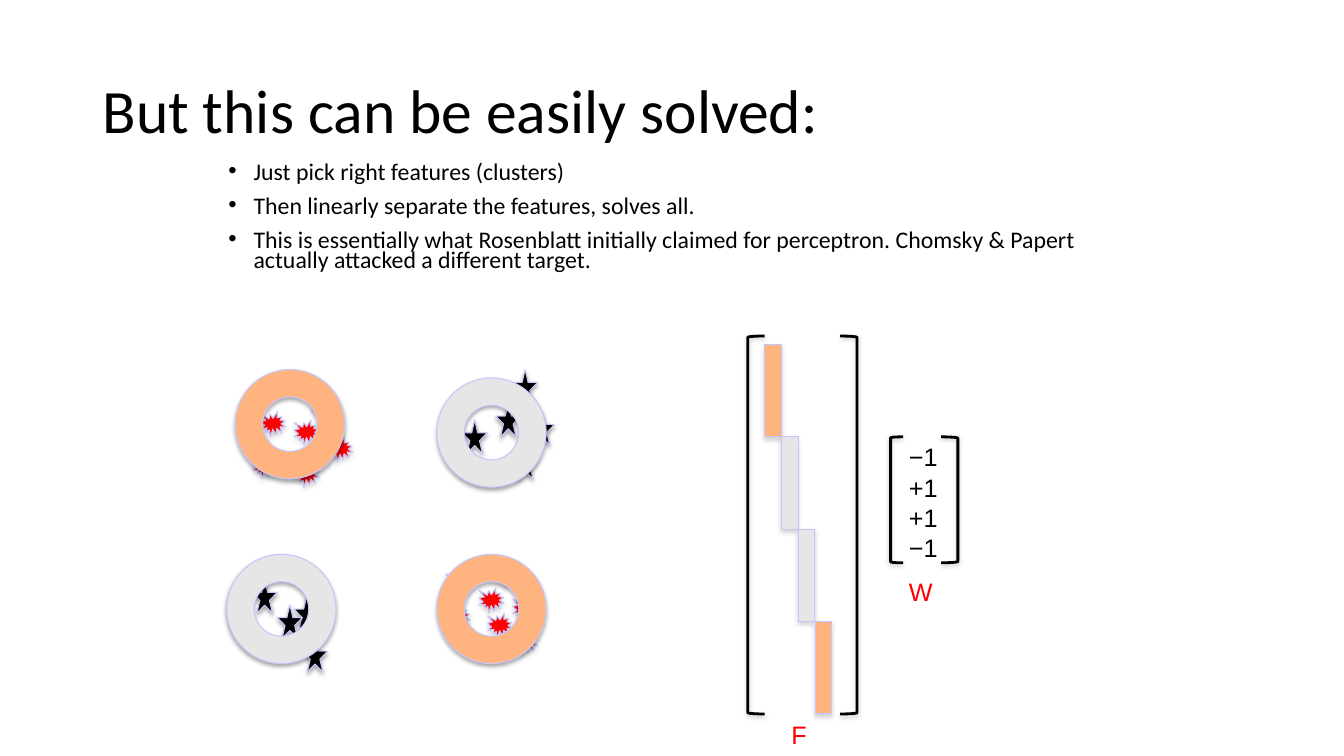
import dataclasses
import lxml.etree
import pptx
import pptx.dml.color
import pptx.enum.shapes
import pptx.enum.text
import pptx.oxml.ns
import pptx.util

Inches = pptx.util.Inches
Pt = pptx.util.Pt
Kind = pptx.enum.shapes.MSO_SHAPE
Anchor = pptx.enum.text.MSO_ANCHOR
Fit = pptx.enum.text.MSO_AUTO_SIZE


@dataclasses.dataclass(frozen=True)
class Theme:
    ink: str = "000000"
    red: str = "FF0000"
    peach: str = "FFB37E"
    pale: str = "E7E6E6"
    edge: str = "C6C6FB"
    shade: str = "808080"
    head: str = "Calibri"
    label: str = "Arial"
    title: int = 44
    body: int = 17
    note: int = 18
    thin: float = 0.75
    thick: float = 2


THEME = Theme()
BURSTS = [(35, 50), (57, 70), (30, 54), (31, 49), (37, 47), (39, 52), (35, 55),
          (58, 73), (61, 71), (53, 72), (59, 67), (53, 68), (61, 75)]
STARS = [(59, 48), (35, 71), (63, 49), (55, 50), (61, 53), (61, 44),
         (33, 72), (30, 69), (36, 76)]
RINGS = [(52, 45, THEME.pale), (27, 66, THEME.pale),
         (52, 66, THEME.peach), (28, 44, THEME.peach)]
BARS = [THEME.peach, THEME.pale, THEME.pale, THEME.peach]
BRACKETS = [(Kind.LEFT_BRACKET, 89, 40, 2, 45), (Kind.RIGHT_BRACKET, 100, 40, 2, 45),
            (Kind.LEFT_BRACKET, 106, 52, 1.5, 15), (Kind.RIGHT_BRACKET, 112, 52, 2, 15)]
POINTS = [
    "Just pick right features (clusters)",
    "Then linearly separate the features, solves all.",
    "This is essentially what Rosenblatt initially claimed for perceptron. "
    "Chomsky & Papert actually attacked a different target.",
]


def grid(*cells):
    return [Inches(cell / 12) for cell in cells]


def rgb(code):
    return pptx.dml.color.RGBColor.from_string(code)


def apply(target, values):
    for name, value in values.items():
        setattr(target, name, value)


def child(parent, tag, **attrs):
    return lxml.etree.SubElement(parent, pptx.oxml.ns.qn(tag), **attrs)


def shadow(shape, color, alpha, drop):
    shape.shadow.inherit = False
    effects = shape.element.spPr.find(pptx.oxml.ns.qn("a:effectLst"))
    outer = child(effects, "a:outerShdw", blurRad=str(Pt(3.1)), dist=str(Pt(drop)),
                  dir="5400000", rotWithShape="0")
    tint = child(outer, "a:srgbClr", val=color)
    child(tint, "a:alpha", val=str(alpha * 1000))


def figure(slide, kind, box, fill, shade):
    shape = slide.shapes.add_shape(kind, *grid(*box))
    shape.fill.solid()
    shape.fill.fore_color.rgb = rgb(fill)
    shape.line.color.rgb = rgb(THEME.edge)
    shape.line.width = Pt(THEME.thin)
    shadow(shape, shade, 35, 1.8)
    return shape


def bracket(slide, kind, box):
    shape = slide.shapes.add_shape(kind, *grid(*box))
    shape.adjustments[0] = 0.08
    shape.fill.background()
    shape.line.color.rgb = rgb(THEME.ink)
    shape.line.width = Pt(THEME.thick)
    shadow(shape, THEME.shade, 38, 1.6)


def text(slide, box, lines, font, color, frame, para):
    area = slide.shapes.add_textbox(*box).text_frame
    apply(area, frame)
    area.text = "\n".join(lines)
    for item in area.paragraphs:
        apply(item, para)
        for run in item.runs:
            apply(run.font, font)
            run.font.color.rgb = rgb(color)
    return area


def bullet(item):
    props = item._p.get_or_add_pPr()
    props.set("marL", str(Inches(0.25)))
    props.set("indent", str(Inches(-0.25)))
    child(props, "a:buFont", typeface="Arial")
    child(props, "a:buChar", char="•")


def label(slide, spot, lines, color):
    text(slide, grid(*spot), lines, {"name": THEME.label, "size": Pt(THEME.note)}, color,
         {"word_wrap": False, "auto_size": Fit.SHAPE_TO_FIT_TEXT}, {})


def heading(slide):
    text(slide, [Inches(n) for n in (0.92, 0.4, 11.5, 1.45)],
         ["But this can be easily solved:"],
         {"name": THEME.head, "size": Pt(THEME.title)}, THEME.ink,
         {"word_wrap": True, "vertical_anchor": Anchor.MIDDLE}, {"line_spacing": 0.9})
    area = text(slide, grid(26, 19, 108, 15), POINTS,
                {"name": THEME.head, "size": Pt(THEME.body)}, THEME.ink,
                {"word_wrap": True}, {"line_spacing": 0.7, "space_before": Pt(10)})
    for item in area.paragraphs:
        bullet(item)


def clusters(slide):
    for x, y in BURSTS:
        figure(slide, Kind.EXPLOSION1, (x, y, 3, 3), THEME.red, THEME.shade)
    for x, y in STARS:
        figure(slide, Kind.STAR_5_POINT, (x, y, 3, 4), THEME.ink, THEME.ink)
    for x, y, color in RINGS:
        ring = figure(slide, Kind.DONUT, (x, y, 13, 13), color, THEME.ink)
        ring.adjustments[0] = 0.25


def matrix(slide):
    for step, color in enumerate(BARS):
        box = (91 + 2 * step, 41 + 11 * step, 2, 11)
        figure(slide, Kind.RECTANGLE, box, color, THEME.shade)
    for kind, *box in BRACKETS:
        bracket(slide, kind, box)
    label(slide, (107, 52, 5.9, 15.7), ["−1", "+1", "+1", "−1"], THEME.ink)
    label(slide, (93, 85, 4.3, 4.8), ["F"], THEME.red)
    label(slide, (107, 68, 5.3, 4.8), ["W"], THEME.red)


def main():
    deck = pptx.Presentation()
    apply(deck, {"slide_width": Inches(13.33), "slide_height": Inches(7.5)})
    slide = deck.slides.add_slide(deck.slide_layouts[6])
    heading(slide)
    clusters(slide)
    matrix(slide)
    deck.save("out.pptx")


if __name__ == "__main__":
    main()
